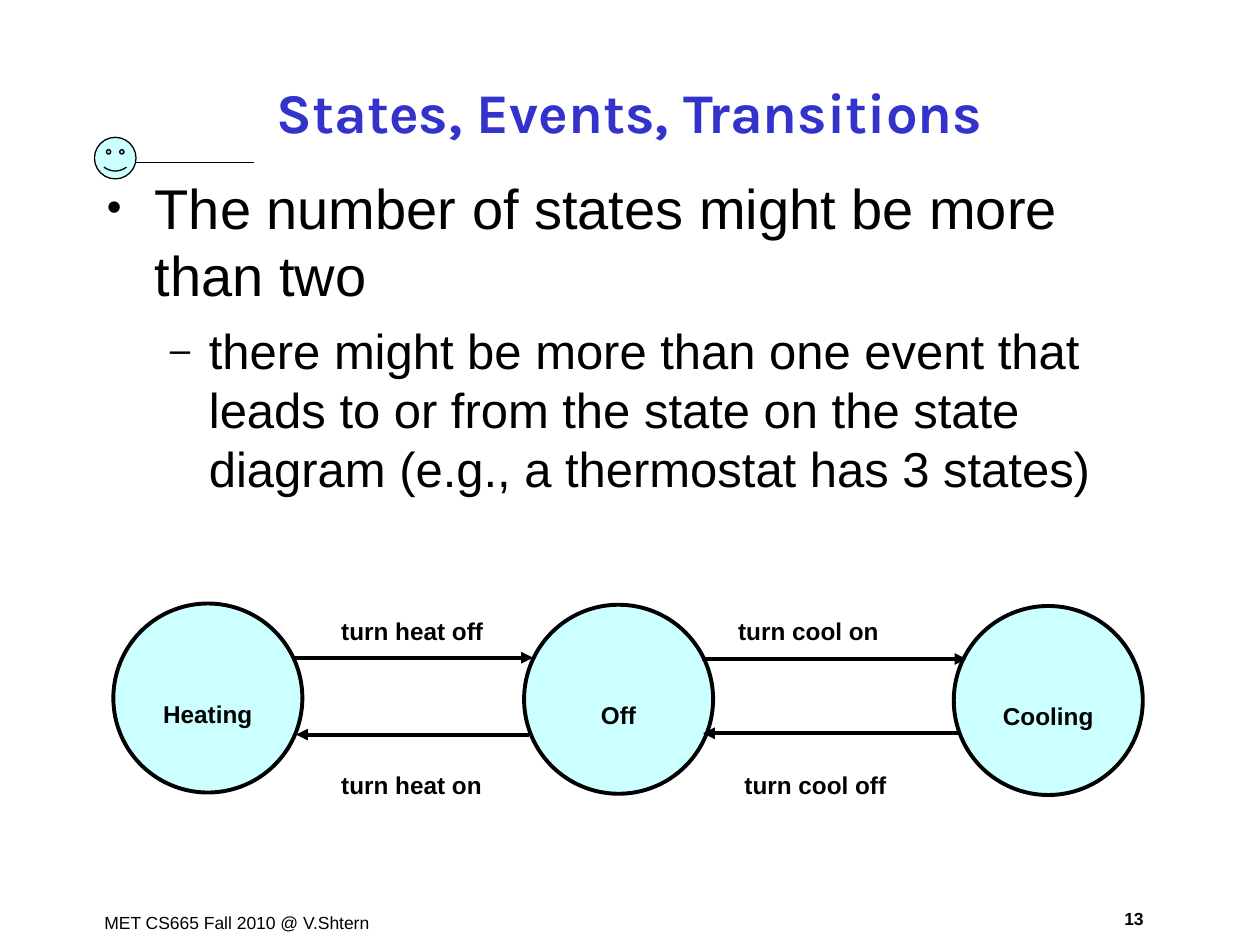
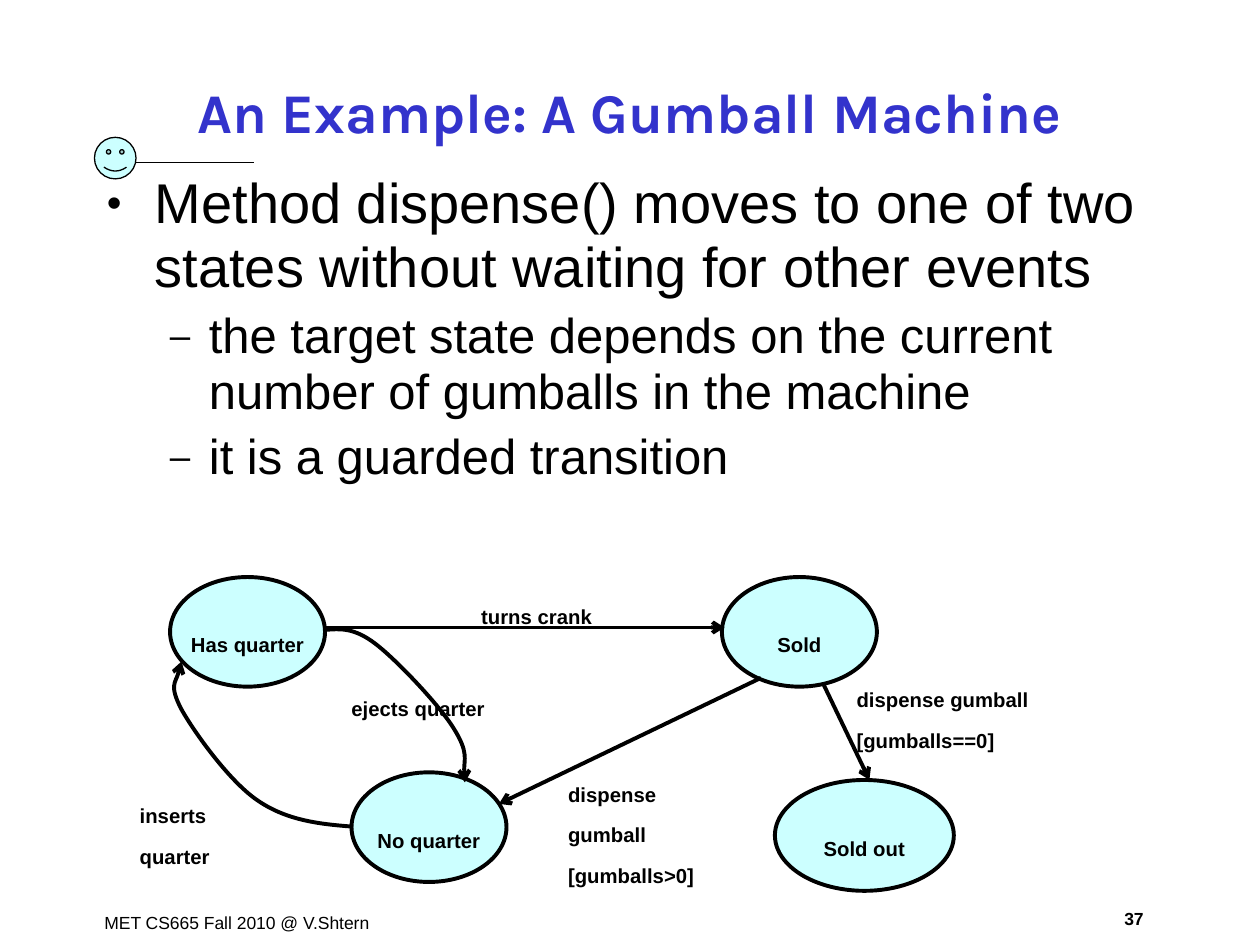
from lxml import etree
from pptx import Presentation
from pptx.dml.color import RGBColor
from pptx.enum.shapes import MSO_CONNECTOR, MSO_SHAPE
from pptx.enum.text import MSO_ANCHOR, MSO_AUTO_SIZE, PP_ALIGN
from pptx.oxml.ns import qn
from pptx.util import Inches, Pt

OVAL, SMILEY = MSO_SHAPE.OVAL, MSO_SHAPE.SMILEY_FACE
STRAIGHT = MSO_CONNECTOR.STRAIGHT
LEFT, CENTER = PP_ALIGN.LEFT, PP_ALIGN.CENTER
MIDDLE, NO_FIT = MSO_ANCHOR.MIDDLE, MSO_AUTO_SIZE.NONE

BLACK = RGBColor(0x00, 0x00, 0x00)
TITLE_BLUE = RGBColor(0x33, 0x33, 0xCC)
PALE_CYAN = RGBColor(0xCC, 0xFF, 0xFF)
BODY_FONT, TITLE_FONT = "Arial", "Karla"
TITLE_ONLY = 5
STROKE = 2.25

# Per level: bullet, text size, left margin, hanging indent
LEVELS = [("•", 32, 0.38, 0.38), ("–", 28, 0.81, 0.31)]


def box(left, top, width, height):
    return Inches(left), Inches(top), Inches(width), Inches(height)


def add_run(p, text, size, bold=False, font=BODY_FONT, color=BLACK):
    r = p.add_run()
    r.text = text
    r.font.name = font
    r.font.size = Pt(size)
    r.font.bold = bold
    r.font.color.rgb = color
    return r


def add_lowered_run(p, text, size):
    """Bold run set as a subscript, on tightened lines."""
    p.line_spacing = 0.85
    r = add_run(p, text, size, bold=True)
    r.font._element.set("baseline", "-25000")


def add_text_box(s, left, top, width, height):
    tf = s.shapes.add_textbox(*box(left, top, width, height)).text_frame
    tf.word_wrap = True
    return tf


def set_outline(shape, width):
    shape.line.color.rgb = BLACK
    shape.line.width = Pt(width)


def add_arrowhead(shape, head):
    etree.SubElement(shape.line._get_or_add_ln(), qn("a:tailEnd"), type=head)


def add_filled(s, preset, at, width):
    shape = s.shapes.add_shape(preset, *box(*at))
    shape.shadow.inherit = False
    shape.fill.solid()
    shape.fill.fore_color.rgb = PALE_CYAN
    set_outline(shape, width)
    return shape


def add_line(s, start, end, width=STROKE, head=None):
    line = s.shapes.add_connector(
        STRAIGHT, *(Inches(v) for v in (*start, *end)))
    set_outline(line, width)
    if head:
        add_arrowhead(line, head)
    etree.SubElement(line._element.spPr, qn("a:effectLst"))


def add_curve(s, points, head):
    """Bézier arrow: a start point, then three points for each segment."""
    start, *rest = [(Inches(x), Inches(y)) for x, y in points]
    builder = s.shapes.build_freeform(*start)
    builder.add_line_segments(rest, close=False)
    curve = builder.convert_to_shape()
    curve.shadow.inherit = False
    curve.fill.background()
    set_outline(curve, STROKE)
    add_arrowhead(curve, head)
    steps = list(curve._element.iter(qn("a:lnTo")))
    for i in range(0, len(steps), 3):
        bezier = etree.SubElement(steps[i].getparent(), qn("a:cubicBezTo"))
        for step in steps[i:i + 3]:
            bezier.append(step[0])
            step.getparent().remove(step)


def add_state(s, name, at, size):
    tf = add_filled(s, OVAL, at, STROKE).text_frame
    tf.word_wrap = False
    tf.vertical_anchor = MIDDLE
    p = tf.paragraphs[0]
    p.alignment = CENTER
    add_lowered_run(p, name, size)


def add_label(s, lines, at, size):
    tf = add_text_box(s, *at)
    for i, text in enumerate(lines):
        p = tf.add_paragraph() if i else tf.paragraphs[0]
        p.alignment = LEFT
        add_lowered_run(p, text, size)


def add_bullets(s, items, top, line_spacing, space_before):
    tf = add_text_box(s, 0.75, top, 8.5, 5.76)
    for i, (level, text) in enumerate(items):
        mark, size, margin, hanging = LEVELS[level]
        p = tf.add_paragraph() if i else tf.paragraphs[0]
        p.level = level
        p.line_spacing = line_spacing
        if i:
            p.space_before = Pt(space_before)
        pPr = p._p.get_or_add_pPr()
        pPr.set("marL", str(Inches(margin)))
        pPr.set("indent", str(-Inches(hanging)))
        color = etree.SubElement(pPr, qn("a:buClr"))
        etree.SubElement(color, qn("a:srgbClr"), val=str(BLACK))
        etree.SubElement(pPr, qn("a:buSzPct"), val="75000")
        etree.SubElement(pPr, qn("a:buFont"), typeface=BODY_FONT)
        etree.SubElement(pPr, qn("a:buChar"), char=mark)
        add_run(p, text, size)


def add_base_slide(prs, title, number):
    """Slide with the title, smiley rule, footer and slide number."""
    s = prs.slides.add_slide(prs.slide_layouts[TITLE_ONLY])
    shape = s.shapes.title
    shape.left, shape.top, shape.width, shape.height = box(0.75, 0.48, 8.5, 0.8)
    tf = shape.text_frame
    tf.auto_size = NO_FIT
    tf.vertical_anchor = MIDDLE
    p = tf.paragraphs[0]
    p.alignment = CENTER
    add_run(p, title, 32, True, TITLE_FONT, TITLE_BLUE)

    smiley = add_filled(s, SMILEY, (0.75, 1.09, 0.33, 0.33), 0.75)
    smiley.adjustments[0] = 0.09
    add_line(s, (1.08, 1.29), (2.02, 1.29), width=1)

    footer = add_text_box(s, 0.73, 7.19, 2.41, 0.27)
    add_run(footer.paragraphs[0], "MET CS665 Fall 2010 @ V.Shtern", 10)
    p = add_text_box(s, 8.73, 7.16, 0.54, 0.27).paragraphs[0]
    p.alignment = CENTER
    add_run(p, str(number), 10, bold=True)
    return s


def add_thermostat_slide(prs):
    s = add_base_slide(prs, "States, Events, Transitions", 13)
    add_bullets(s, [
        (0, "The number of states might be more than two"),
        (1, "there might be more than one event that leads to or from the "
            "state on the state diagram (e.g., a thermostat has 3 states)"),
    ], top=1.33, line_spacing=1.0, space_before=7)

    for name, left, top in [("Heating", 0.9, 4.79), ("Off", 4.16, 4.8),
                            ("Cooling", 7.57, 4.81)]:
        add_state(s, name, (left, top, 1.5, 1.5), 24)
    for x1, x2, y in [(2.32, 4.23, 5.22), (5.57, 7.67, 5.23),
                      (7.6, 5.58, 5.82), (4.2, 2.35, 5.83)]:
        add_line(s, (x1, y), (x2, y), head="triangle")
    for event, left, top in [("turn heat off", 2.61, 4.64),
                             ("turn cool on", 5.76, 4.64),
                             ("turn heat on", 2.61, 5.86),
                             ("turn cool off", 5.81, 5.86)]:
        add_label(s, [event], (left, top, 1.92, 0.49), 24)


def add_gumball_slide(prs):
    s = add_base_slide(prs, "An Example: A Gumball Machine", 37)
    add_bullets(s, [
        (0, "Method dispense() moves to one of two states without waiting "
            "for other events"),
        (1, "the target state depends on the current number of gumballs in "
            "the machine"),
        (1, "it is a guarded transition"),
    ], top=1.32, line_spacing=0.95, space_before=5.2)

    for name, *at in [("Has quarter", 1.35, 4.58, 1.23, 0.87),
                      ("No quarter", 2.79, 6.13, 1.23, 0.87),
                      ("Sold", 5.73, 4.58, 1.23, 0.87),
                      ("Sold out", 6.15, 6.19, 1.42, 0.88)]:
        add_state(s, name, at, 20)

    ejects = [(2.58, 5), (2.7, 4.99), (2.81, 4.98), (2.98, 5.11),
              (3.15, 5.24), (3.49, 5.6), (3.6, 5.78),
              (3.72, 5.97), (3.67, 6.14), (3.69, 6.21)]
    inserts = [(2.79, 6.56), (2.53, 6.54), (2.27, 6.51), (2.04, 6.35),
               (1.82, 6.2), (1.54, 5.81), (1.44, 5.63),
               (1.34, 5.44), (1.44, 5.31), (1.44, 5.25)]
    for points in (ejects, inserts):
        add_curve(s, points, "arrow")
    for start, end in [((2.58, 4.98), (5.75, 4.98)),
                       ((6.54, 5.44), (6.9, 6.19)),
                       ((6.04, 5.38), (3.96, 6.38))]:
        add_line(s, start, end, head="arrow")

    for lines, *at in [
            (["inserts quarter"], 1.01, 6.16, 1.28, 0.75),
            (["ejects quarter"], 2.69, 5.31, 1.28, 0.43),
            (["turns crank"], 3.72, 4.58, 1.28, 0.43),
            (["dispense gumball", "[gumballs>0]"], 4.41, 5.99, 1.42, 1.07),
            (["dispense gumball", "[gumballs==0]"], 6.7, 5.24, 1.7, 1.07)]:
        add_label(s, lines, at, 20)


def main():
    prs = Presentation()
    prs.slide_width, prs.slide_height = Inches(10), Inches(7.5)
    add_thermostat_slide(prs)
    add_gumball_slide(prs)
    prs.save("out.pptx")


if __name__ == "__main__":
    main()
